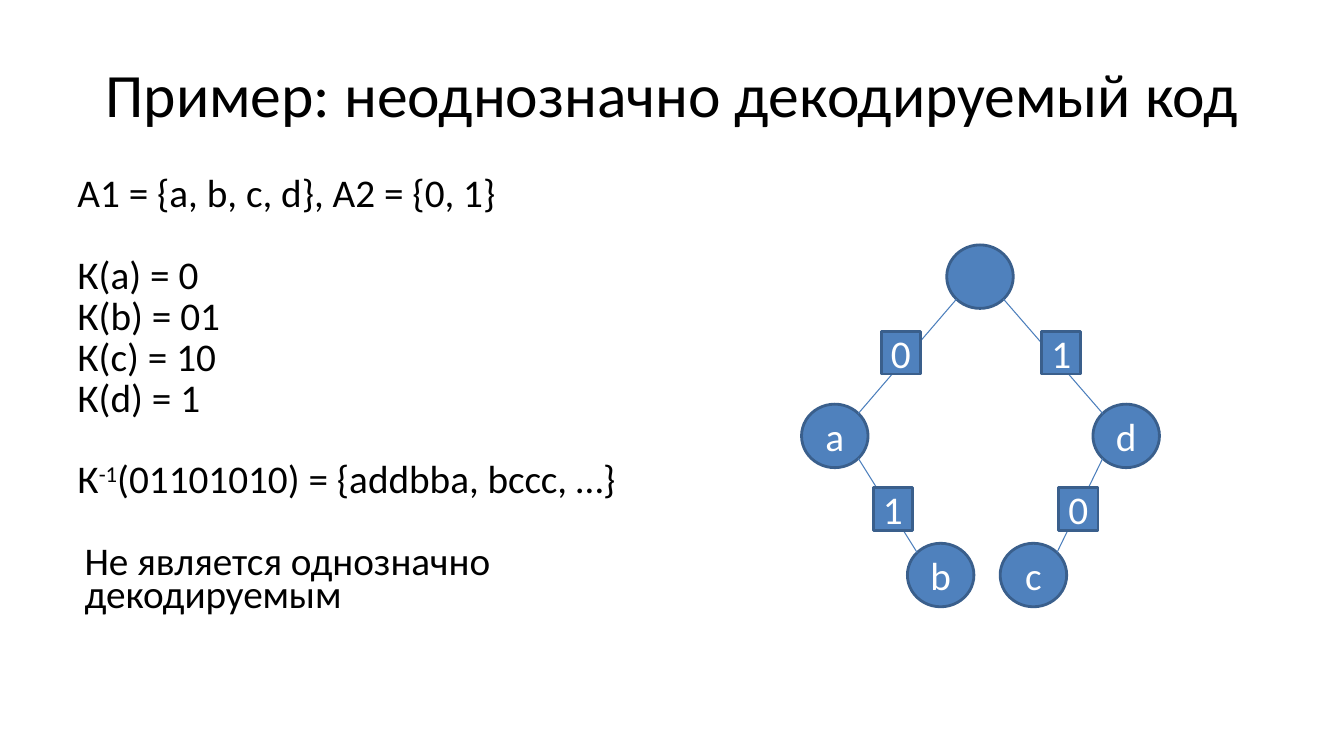
from math import copysign, sqrt

from lxml import etree
from pptx import Presentation
from pptx.dml.color import RGBColor
from pptx.enum.shapes import MSO_CONNECTOR, MSO_SHAPE
from pptx.enum.text import MSO_ANCHOR, PP_ALIGN
from pptx.oxml.ns import qn
from pptx.util import Inches, Pt

STRAIGHT = MSO_CONNECTOR.STRAIGHT
OVAL, RECTANGLE = MSO_SHAPE.OVAL, MSO_SHAPE.RECTANGLE
MIDDLE, TOP = MSO_ANCHOR.MIDDLE, MSO_ANCHOR.TOP
CENTER, LEFT = PP_ALIGN.CENTER, PP_ALIGN.LEFT

FONT = "Calibri"
BLACK, WHITE = "000000", "FFFFFF"
NODE_FILL, NODE_LINE, EDGE_LINE = "4F81BD", "3A5F8C", "4B7EBC"

TITLE = "Пример: неоднозначно декодируемый код"
# Groups of lines; a line is a list of (text, is superscript)
CODE_GROUPS = [
    [[("А1 = {a, b, c, d}, А2 = {0, 1}", False)]],
    [
        [("К(а) = 0", False)],
        [("К(b) = 01", False)],
        [("К(с) = 10", False)],
        [("К(d) = 1", False)],
    ],
    [[("К", False), ("-1", True), ("(01101010) = {addbba, bссс, …}", False)]],
    [[("Не является однозначно декодируемым", False)]],
]
LINE_GAP, GROUP_GAP = 5.6, 35
CONCLUSION_INDENT = 0.07

NODE_SIZE = (0.66, 0.63)
NODES = {  # name: (label, left, top)
    "root": ("", 9.39, 2.43),
    "d": ("d", 10.84, 4.01),
    "c": ("c", 9.92, 5.39),
    "b": ("b", 9, 5.39),
    "a": ("a", 7.95, 4.01),
}
EDGES = [("d", "c"), ("root", "d"), ("a", "b"), ("root", "a")]
BIT_SIZE = (0.39, 0.42)
BITS = [("1", 10.33, 3.29), ("1", 8.66, 4.84), ("0", 10.5, 4.84), ("0", 8.74, 3.29)]


def color(value):
    return RGBColor.from_string(value)


def style_paragraph(paragraph, size, value, alignment):
    paragraph.alignment = alignment
    paragraph.font.name = FONT
    paragraph.font.size = Pt(size)
    paragraph.font.color.rgb = color(value)


def add_text_box(slide, left, top, width, height, anchor):
    box = slide.shapes.add_textbox(Inches(left), Inches(top), Inches(width), Inches(height))
    frame = box.text_frame
    frame.word_wrap = True
    frame.vertical_anchor = anchor
    return frame


def add_code_text(slide):
    frame = add_text_box(slide, 0.67, 1.75, 5.89, 4.95, TOP)
    paragraph = None
    for group in CODE_GROUPS:
        for index, line in enumerate(group):
            starts_group = paragraph is not None and index == 0
            paragraph = frame.paragraphs[0] if paragraph is None else frame.add_paragraph()
            style_paragraph(paragraph, 28, BLACK, LEFT)
            paragraph.line_spacing = 0.7
            paragraph.space_before = Pt(GROUP_GAP if starts_group else LINE_GAP)
            for text, superscript in line:
                run = paragraph.add_run()
                run.text = text
                if superscript:
                    run._r.get_or_add_rPr().set("baseline", "30000")
    paragraph._p.get_or_add_pPr().set("marL", str(Inches(CONCLUSION_INDENT)))


def add_tree_shape(group, kind, label, left, top, size):
    shape = group.shapes.add_shape(kind, Inches(left), Inches(top), *map(Inches, size))
    shape.shadow.inherit = False
    shape.fill.solid()
    shape.fill.fore_color.rgb = color(NODE_FILL)
    shape.line.color.rgb = color(NODE_LINE)
    shape.line.width = Pt(2)
    frame = shape.text_frame
    frame.margin_left = frame.margin_right = frame.margin_top = frame.margin_bottom = 0
    frame.word_wrap = False
    frame.vertical_anchor = MIDDLE
    if label:
        frame.text = label
        style_paragraph(frame.paragraphs[0], 28, WHITE, CENTER)


def diagonal_point(name, toward, vertical):
    """Point on a node's outline at 45 degrees, on the side of another node."""
    _, left, top = NODES[name]
    width, height = NODE_SIZE
    side = copysign(1, NODES[toward][1] - left)
    x = left + width / 2 * (1 + side / sqrt(2))
    y = top + height / 2 * (1 + vertical / sqrt(2))
    return Inches(x), Inches(y)


def add_edge(group, parent, child):
    start = diagonal_point(parent, child, 1)
    end = diagonal_point(child, parent, -1)
    edge = group.shapes.add_connector(STRAIGHT, *start, *end)
    edge.line.color.rgb = color(EDGE_LINE)
    edge.line.width = Pt(0.75)
    etree.SubElement(edge._element.spPr, qn("a:effectLst"))


def add_code_tree(slide):
    group = slide.shapes.add_group_shape()
    for label, left, top in NODES.values():
        add_tree_shape(group, OVAL, label, left, top, NODE_SIZE)
    for parent, child in EDGES:
        add_edge(group, parent, child)
    for label, left, top in BITS:
        add_tree_shape(group, RECTANGLE, label, left, top, BIT_SIZE)


def main():
    presentation = Presentation()
    presentation.slide_width = Inches(13.33)
    presentation.slide_height = Inches(7.5)
    slide = presentation.slides.add_slide(presentation.slide_layouts[6])
    title = add_text_box(slide, 0.67, 0.3, 12, 1.25, MIDDLE)
    title.text = TITLE
    style_paragraph(title.paragraphs[0], 44, BLACK, CENTER)
    add_code_text(slide)
    add_code_tree(slide)
    presentation.save("out.pptx")


if __name__ == "__main__":
    main()
